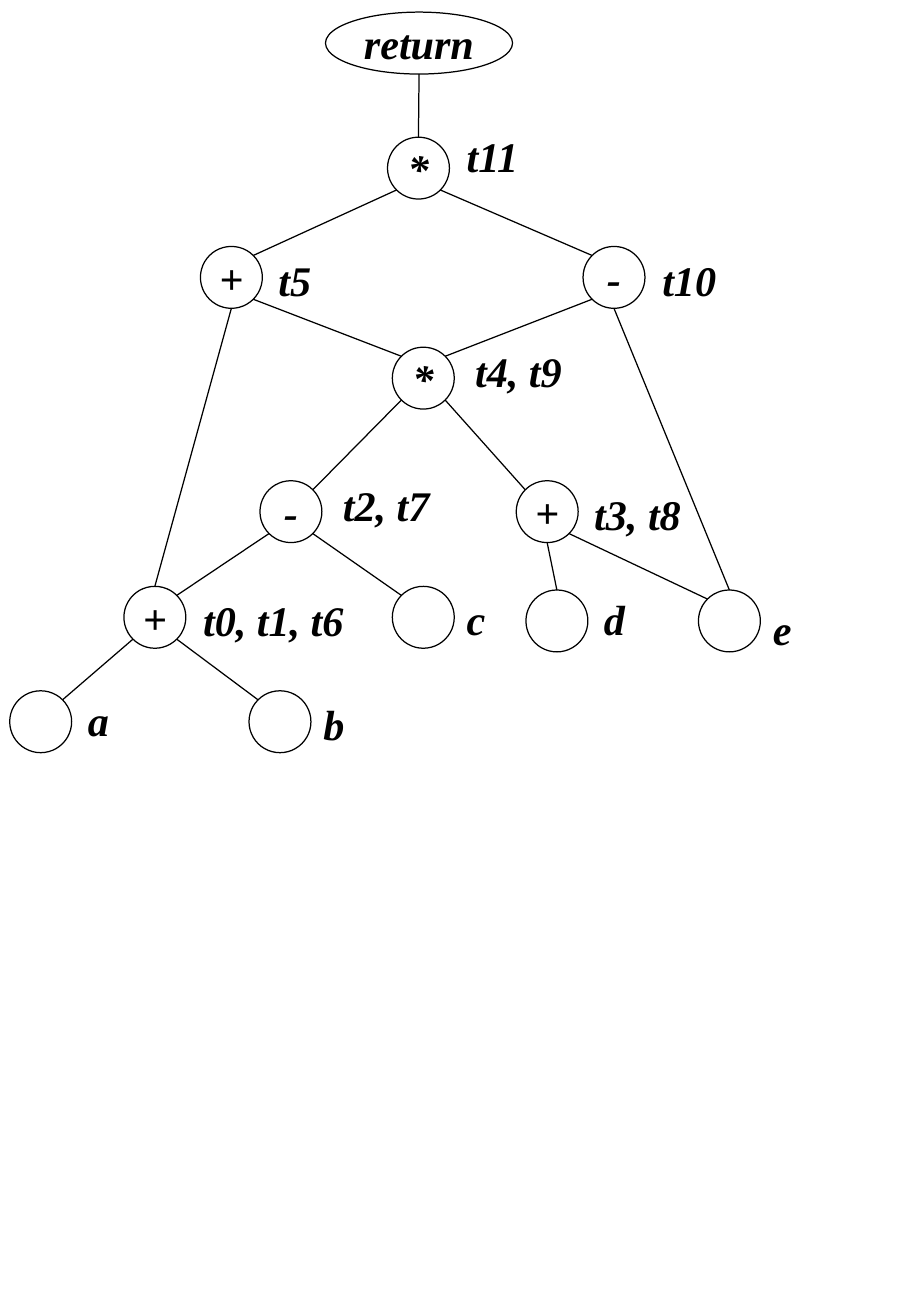
"""Draws the expression graph of a return statement with its shared temporaries."""
from math import sqrt

from lxml.etree import SubElement
from pptx import Presentation
from pptx.dml.color import RGBColor
from pptx.enum.shapes import MSO_CONNECTOR as Connector, MSO_SHAPE as Shape
from pptx.enum.text import MSO_ANCHOR as Anchor, PP_ALIGN as Align
from pptx.oxml.ns import qn
from pptx.util import Pt

PX = 9144
COLORS = {"ink": "000000", "paper": "FFFFFF"}
NODE_SIZE = 51
LABEL_WIDTH, LABEL_HEIGHT = 106, 47

DIAGONAL = sqrt(0.5)
SIDES = {
    "top": (0, -1),
    "bottom": (0, 1),
    "top left": (-DIAGONAL, -DIAGONAL),
    "top right": (DIAGONAL, -DIAGONAL),
    "bottom left": (-DIAGONAL, DIAGONAL),
    "bottom right": (DIAGONAL, DIAGONAL),
}

NODES = {
    "return": (268, 10, 154, "return"),
    "t11": (319, 113, NODE_SIZE, "*"),
    "t5": (165, 203, NODE_SIZE, "+"),
    "t10": (480, 203, NODE_SIZE, "-"),
    "t4, t9": (323, 286, NODE_SIZE, "*"),
    "t2, t7": (214, 396, NODE_SIZE, "-"),
    "t3, t8": (425, 396, NODE_SIZE, "+"),
    "t0, t1, t6": (102, 483, NODE_SIZE, "+"),
    "c": (323, 483, NODE_SIZE, ""),
    "d": (433, 486, NODE_SIZE, ""),
    "e": (575, 486, NODE_SIZE, ""),
    "a": (8, 569, NODE_SIZE, ""),
    "b": (205, 569, NODE_SIZE, ""),
}

LABELS = {
    "t11": (371, 105),
    "t5": (216, 207),
    "t10": (532, 207),
    "t4, t9": (378, 282),
    "t2, t7": (269, 392),
    "t3, t8": (476, 400),
    "t0, t1, t6": (154, 487),
    "c": (371, 486),
    "d": (484, 486),
    "e": (623, 494),
    "a": (59, 569),
    "b": (253, 573),
}

EDGES = [
    ("return", "bottom", "t11", "top"),
    ("t11", "bottom left", "t5", "top right"),
    ("t11", "bottom right", "t10", "top left"),
    ("t5", "bottom", "t0, t1, t6", "top"),
    ("t5", "bottom right", "t4, t9", "top left"),
    ("t10", "bottom left", "t4, t9", "top right"),
    ("t10", "bottom", "e", "top"),
    ("t4, t9", "bottom left", "t2, t7", "top right"),
    ("t4, t9", "bottom right", "t3, t8", "top left"),
    ("t2, t7", "bottom left", "t0, t1, t6", "top right"),
    ("t2, t7", "bottom right", "c", "top left"),
    ("t3, t8", "bottom", "d", "top"),
    ("t3, t8", "bottom right", "e", "top left"),
    ("t0, t1, t6", "bottom left", "a", "top right"),
    ("t0, t1, t6", "bottom right", "b", "top left"),
]


def px(length):
    return round(length * PX)


def color(name):
    return RGBColor.from_string(COLORS[name])


def write(frame, text, *, align=Align.LEFT, inset=10, size=25, font="Times New Roman"):
    frame.word_wrap = False
    frame.vertical_anchor = Anchor.MIDDLE
    frame.margin_left = frame.margin_right = px(inset)
    frame.margin_top = frame.margin_bottom = px(5)
    para = frame.paragraphs[0]
    para.alignment = align
    span = para.add_run()
    span.text = text
    span.font.name = font
    span.font.size = Pt(size)
    span.font.bold = span.font.italic = True
    span.font.color.rgb = color("ink")


class Graph:
    """Holds the page and the line style of the graph."""

    def __init__(self, page, line_width=0.75):
        self.page = page
        self.line_width = Pt(line_width)

    def stroke(self, line):
        line.color.rgb = color("ink")
        line.width = self.line_width

    def shape(self, kind, left, top, width, height):
        box = self.page.shapes.add_shape(kind, px(left), px(top), px(width), px(height))
        box.shadow.inherit = False
        box.fill.background()
        return box

    def node(self, left, top, width, symbol):
        oval = self.shape(Shape.OVAL, left, top, width, NODE_SIZE)
        self.stroke(oval.line)
        if symbol:
            write(oval.text_frame, symbol, align=Align.CENTER)
        return oval

    def label(self, text, left, top):
        box = self.shape(Shape.ROUNDED_RECTANGLE, left, top, LABEL_WIDTH, LABEL_HEIGHT)
        box.line.fill.background()
        write(box.text_frame, text, inset=11)

    def rim(self, oval, side):
        across, down = SIDES[side]
        return (round(oval.left + oval.width * (1 + across) / 2),
                round(oval.top + oval.height * (1 + down) / 2))

    def edge(self, parent, start, child, end):
        link = self.page.shapes.add_connector(
            Connector.STRAIGHT, *self.rim(parent, start), *self.rim(child, end))
        self.stroke(link.line)
        SubElement(link._element.spPr, qn("a:effectLst"))


def main():
    deck = Presentation()
    deck.slide_width, deck.slide_height = px(750), px(1084)
    page = deck.slides.add_slide(deck.slide_layouts[6])
    page.background.fill.solid()
    page.background.fill.fore_color.rgb = color("paper")
    graph = Graph(page)
    ovals = {name: graph.node(*place) for name, place in NODES.items()}
    for text, place in LABELS.items():
        graph.label(text, *place)
    for parent, start, child, end in EDGES:
        graph.edge(ovals[parent], start, ovals[child], end)
    deck.save("out.pptx")


if __name__ == "__main__":
    main()
